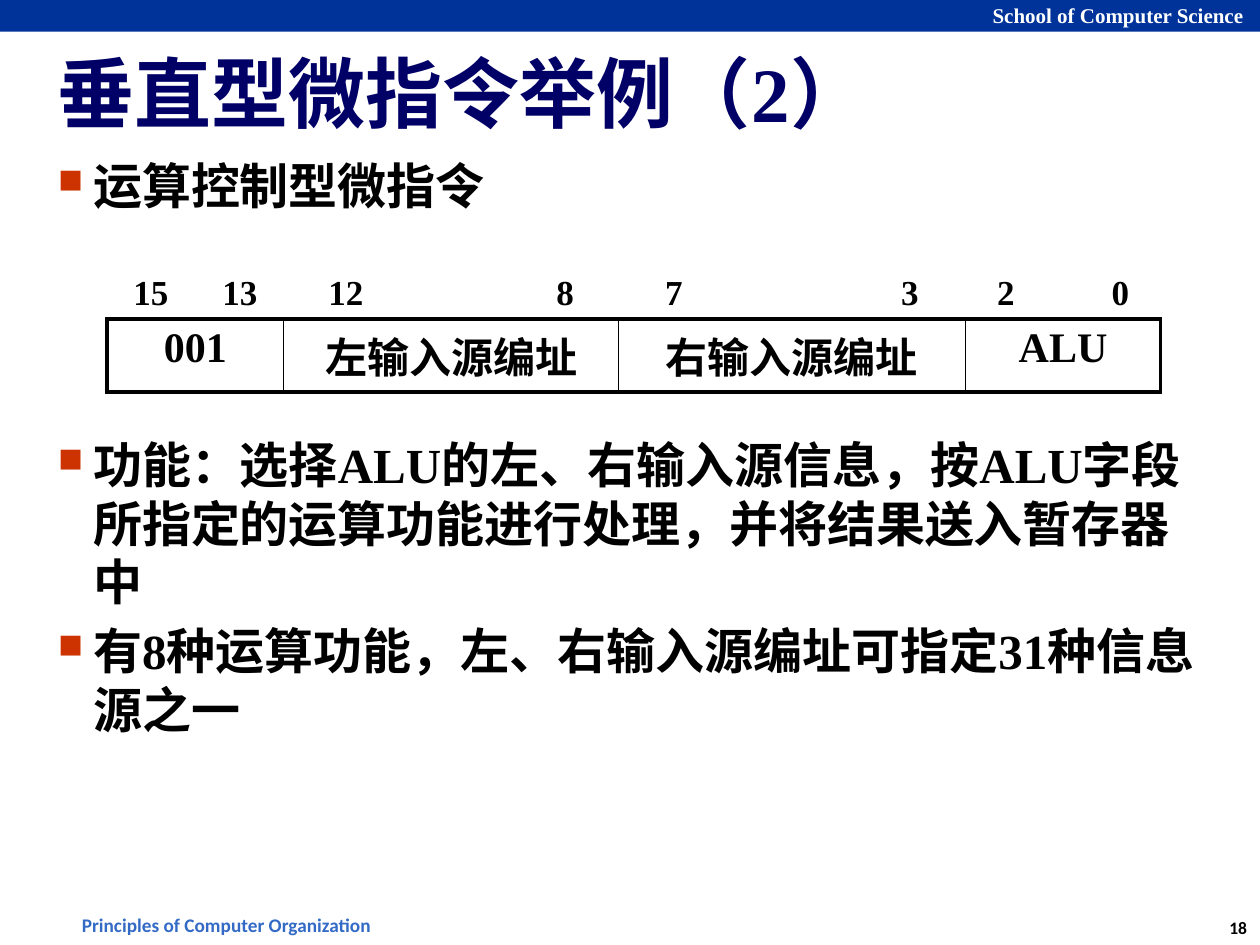
from lxml import etree
from pptx import Presentation
from pptx import util as u
from pptx.dml.color import RGBColor
from pptx.enum import shapes, text
from pptx.oxml import ns

# Content
HEADER = "School of Computer Science"
FOOTER = "Principles of Computer Organization"
PAGE_NUMBER = "18"
TITLE = "垂直型微指令举例（2）"
# (text, space before in points); the wide gap leaves room for the table
POINTS = [
    ("运算控制型微指令", 0),
    ("功能：选择ALU的左、右输入源信息，按ALU字段所指定的运算功能进行处理，并将结果送入暂存器中", 126),
    ("有8种运算功能，左、右输入源编址可指定31种信息源之一", 6),
]
# (high bit, low bit, field name, width in cm, inset of the bit numbers in cm)
FIELDS = [
    ("15", "13", "001", 3.56, 0.53),
    ("12", "8", "左输入源编址", 6.75, 0.9),
    ("7", "3", "右输入源编址", 6.99, 0.94),
    ("2", "0", "ALU", 3.94, 0.64),
]
ROW_HEIGHTS = (1.27, 1.47)

THEME = {
    "serif": "Times New Roman", "sans": "Calibri", "asian": "Noto Sans CJK SC",
    "band": "003399", "title": "000066", "ink": "000000", "white": "FFFFFF",
    "footer": "326AC6", "bullet": "CC3300",
    "title_size": 44, "body_size": 28, "field_size": 24, "bit_size": 20,
    "header_size": 12, "footer_size": 11, "number_size": 10,
    "body_pitch": 33.4, "thick": 2.25, "thin": 1,
}


def add_xml(parent, tag, **attributes):
    return etree.SubElement(parent, ns.qn(tag), attributes)


def style(para, size, color, font="serif"):
    for span in para.runs:
        span.font.size = u.Pt(size)
        span.font.bold = True
        span.font.name = THEME[font]
        span.font.color.rgb = RGBColor.from_string(THEME[color])
        add_xml(span.font._element, "a:ea", typeface=THEME["asian"])


def add_box(page, left, top, width, height, inset=(0.25, 0.13), wrap=False):
    box = page.shapes.add_textbox(u.Cm(left), u.Cm(top), u.Cm(width), u.Cm(height))
    frame = box.text_frame
    frame.word_wrap = wrap
    frame.margin_left = frame.margin_right = u.Cm(inset[0])
    frame.margin_top = frame.margin_bottom = u.Cm(inset[1])
    return frame


def add_label(page, place, words, size, color, font, align):
    frame = add_box(page, *place)
    frame.text = words
    frame.paragraphs[0].alignment = align
    style(frame.paragraphs[0], size, color, font)


def add_bullet(para):
    props = para._p.get_or_add_pPr()
    props.set("marL", str(u.Cm(0.71)))
    props.set("indent", str(-u.Cm(0.71)))
    add_xml(add_xml(props, "a:buClr"), "a:srgbClr", val=THEME["bullet"])
    add_xml(props, "a:buSzPct", val="70000")
    add_xml(props, "a:buChar", char="■")


def set_borders(cell, **widths):
    props = cell._tc.get_or_add_tcPr()
    for side in "LRTB":
        if side in widths:
            line = add_xml(props, "a:ln" + side, w=str(u.Pt(widths[side])))
            fill = add_xml(line, "a:solidFill")
            add_xml(fill, "a:srgbClr", val=THEME["ink"])


def add_format_table(page):
    total = sum(field[3] for field in FIELDS)
    table = page.shapes.add_table(2, len(FIELDS), u.Cm(2.16), u.Cm(5.16),
                                  u.Cm(total), u.Cm(sum(ROW_HEIGHTS))).table
    table.first_row = table.horz_banding = False
    for row, height in zip(table.rows, ROW_HEIGHTS):
        row.height = u.Cm(height)
    thick, thin = THEME["thick"], THEME["thin"]
    last = len(FIELDS) - 1
    for index, (high, low, name, width, inset) in enumerate(FIELDS):
        table.columns[index].width = u.Cm(width)

        # Bit numbers: the low bit is set against a right tab
        bits = table.cell(0, index)
        set_borders(bits, B=thick)
        bits.fill.background()
        bits.vertical_anchor = text.MSO_ANCHOR.BOTTOM
        bits.margin_left = u.Cm(inset)
        bits.margin_right = u.Cm(0.1)
        para = bits.text_frame.paragraphs[0]
        tabs = add_xml(para._p.get_or_add_pPr(), "a:tabLst")
        add_xml(tabs, "a:tab", pos=str(u.Cm(width - 2 * inset)), algn="r")
        para.text = f"{high}\t{low}"
        style(para, THEME["bit_size"], "ink")

        # Field name
        field = table.cell(1, index)
        set_borders(field, L=thin if index else thick,
                    R=thin if index < last else thick, T=thick, B=thick)
        field.fill.background()
        field.text = name
        para = field.text_frame.paragraphs[0]
        para.alignment = text.PP_ALIGN.CENTER
        style(para, THEME["field_size"], "ink")


def main():
    deck = Presentation()
    deck.slide_width, deck.slide_height = u.Cm(25.4), u.Cm(19.05)
    page = deck.slides.add_slide(deck.slide_layouts[6])

    # Header band, footer and page number
    band = page.shapes.add_shape(shapes.MSO_SHAPE.RECTANGLE, 0, 0, u.Cm(25.4), u.Cm(0.64))
    band.shadow.inherit = False
    band.fill.solid()
    band.fill.fore_color.rgb = RGBColor.from_string(THEME["band"])
    band.line.fill.background()
    align = text.PP_ALIGN
    add_label(page, (19.76, -0.08, 5.61, 0.76), HEADER,
              THEME["header_size"], "white", "serif", align.LEFT)
    add_label(page, (1.4, 18.29, 6.4, 0.74), FOOTER,
              THEME["footer_size"], "footer", "sans", align.LEFT)
    add_label(page, (24.49, 18.36, 0.94, 0.69), PAGE_NUMBER,
              THEME["number_size"], "ink", "sans", align.CENTER)

    # Title
    frame = add_box(page, 1.07, 0.71, 23.29, 2.26, (0.1, 0.1), True)
    frame.vertical_anchor = text.MSO_ANCHOR.MIDDLE
    frame.text = TITLE
    style(frame.paragraphs[0], THEME["title_size"], "title")

    # Bulleted points
    frame = add_box(page, 1.07, 3.05, 23.29, 14.53, (0.1, 0.1), True)
    for index, (words, before) in enumerate(POINTS):
        para = frame.add_paragraph() if index else frame.paragraphs[0]
        add_bullet(para)
        para.text = words
        para.line_spacing = u.Pt(THEME["body_pitch"])
        if before:
            para.space_before = u.Pt(before)
        style(para, THEME["body_size"], "ink")

    # Microinstruction format
    add_format_table(page)
    deck.save("out.pptx")


if __name__ == "__main__":
    main()
